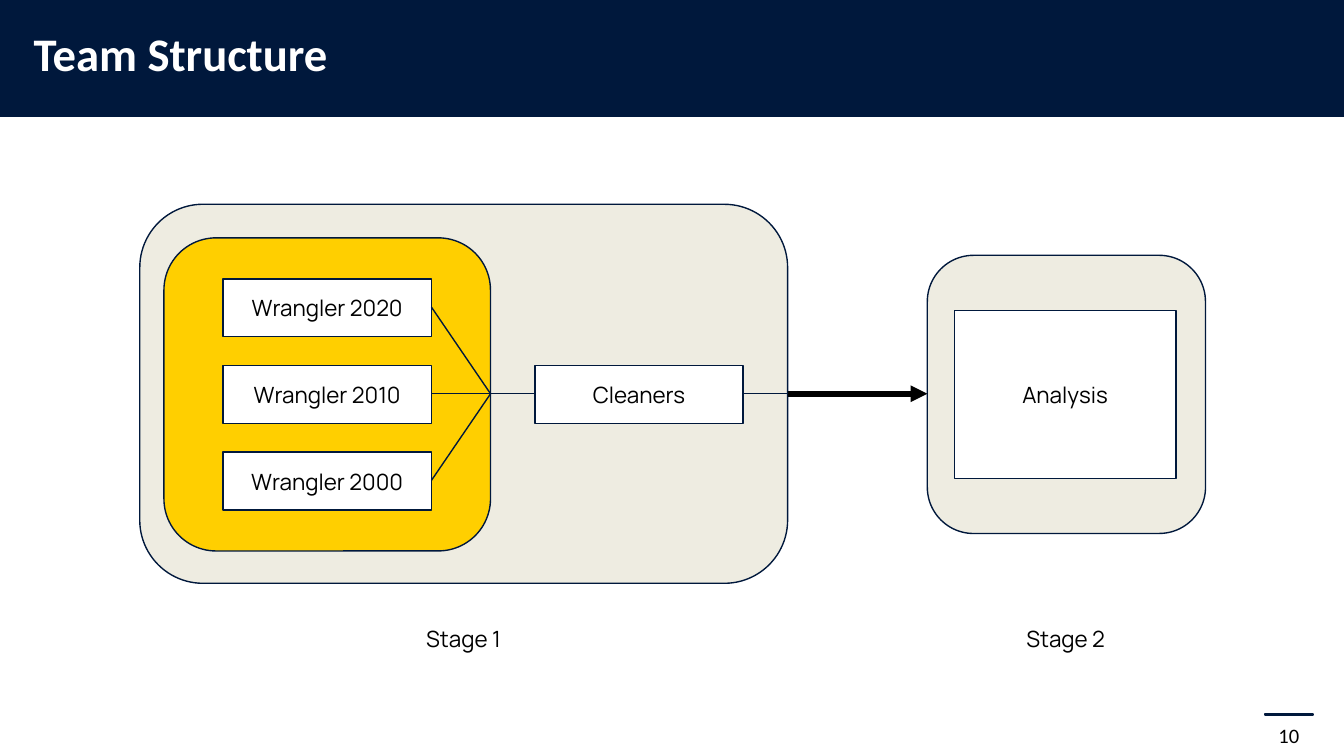
"""Build the Team Structure slide."""
from dataclasses import dataclass
from typing import Optional

from lxml import etree
from pptx import Presentation
from pptx import util as u
from pptx.dml.color import RGBColor
from pptx.enum import shapes, text
from pptx.oxml import ns

NAVY = RGBColor(0x00, 0x18, 0x3C)
GOLD = RGBColor(0xFF, 0xCF, 0x00)
SAND = RGBColor(0xEE, 0xEC, 0xE1)
WHITE = RGBColor(0xFF, 0xFF, 0xFF)
BLACK = RGBColor(0x00, 0x00, 0x00)

RECT = shapes.MSO_SHAPE.RECTANGLE
ROUND = shapes.MSO_SHAPE.ROUNDED_RECTANGLE
LEFT = text.PP_ALIGN.LEFT
MID = 2.93
TOP = 2.72
STEP = 1.29 / 2
ROWS = {-1: 2020, 0: 2010, 1: 2000}


@dataclass(frozen=True)
class Box:
    left: float
    top: float
    width: float
    height: float
    fill: RGBColor = WHITE
    line: Optional[RGBColor] = NAVY
    weight: float = 0.75
    kind: shapes.MSO_SHAPE = RECT
    words: str = ""


@dataclass(frozen=True)
class Label:
    words: str
    left: float
    top: float
    width: float
    height: float
    size: float = 12
    font: str = "Manrope"
    color: RGBColor = BLACK
    bold: bool = False
    align: text.PP_ALIGN = text.PP_ALIGN.CENTER
    inset: float = 0.1
    space: float = 1.0


@dataclass(frozen=True)
class Link:
    left: float
    start: float
    right: float
    end: float = MID
    color: RGBColor = NAVY
    weight: float = 0.75
    arrow: bool = False


def write(frame, label: Label) -> None:
    """Put one styled run into a text frame."""
    frame.word_wrap = True
    inset = u.Inches(label.inset)
    frame.margin_left = frame.margin_right = inset
    frame.margin_top = frame.margin_bottom = inset
    para = frame.paragraphs[0]
    para.alignment = label.align
    para.line_spacing = label.space
    run = para.add_run()
    run.text = label.words
    run.font.size = u.Pt(label.size)
    run.font.name = label.font
    run.font.bold = label.bold
    run.font.color.rgb = label.color


def add_box(slide, box: Box) -> None:
    """Draw a filled shape with optional centred words."""
    place = (box.left, box.top, box.width, box.height)
    shape = slide.shapes.add_shape(box.kind, *map(u.Inches, place))
    shape.shadow.inherit = False
    shape.fill.solid()
    shape.fill.fore_color.rgb = box.fill
    if box.line is None:
        shape.line.fill.background()
    else:
        shape.line.color.rgb = box.line
        shape.line.width = u.Pt(box.weight)
    if box.words:
        shape.text_frame.vertical_anchor = text.MSO_ANCHOR.MIDDLE
        write(shape.text_frame, Label(box.words, *place))


def add_label(slide, label: Label) -> None:
    """Draw a text box."""
    place = (label.left, label.top, label.width, label.height)
    shape = slide.shapes.add_textbox(*map(u.Inches, place))
    write(shape.text_frame, label)


def add_link(slide, link: Link) -> None:
    """Draw a straight line, with an arrowhead if asked."""
    ends = (link.left, link.start, link.right, link.end)
    line = slide.shapes.add_connector(
        shapes.MSO_CONNECTOR.STRAIGHT, *map(u.Inches, ends))
    line.line.color.rgb = link.color
    line.line.width = u.Pt(link.weight)
    if link.arrow:
        etree.SubElement(line.line._get_or_add_ln(), ns.qn("a:tailEnd"),
                         type="triangle")
    etree.SubElement(line._element.spPr, ns.qn("a:effectLst"))


def main() -> None:
    """Build and save the slide."""
    deck = Presentation()
    deck.slide_width = u.Inches(10)
    deck.slide_height = u.Inches(10 * 9 / 16)
    slide = deck.slides.add_slide(deck.slide_layouts[6])

    boxes = [
        Box(0, 0, 10, 0.87, NAVY, None),
        Box(9.41, 5.31, 0.36, 0.01, NAVY, weight=1),
        Box(6.9, 1.9, 2.07, 2.07, SAND, kind=ROUND),
        Box(1.04, 1.52, 4.82, 2.82, SAND, kind=ROUND),
        Box(1.22, 1.77, 2.43, 2.33, GOLD, kind=ROUND),
        *(Box(1.66, TOP + row * STEP, 1.55, 0.43, words=f"Wrangler {year}")
          for row, year in ROWS.items()),
        Box(3.98, TOP, 1.55, 0.43, words="Cleaners"),
        Box(7.1, 2.31, 1.65, 1.25, words="Analysis"),
    ]
    labels = [
        Label("Team Structure", 0.25, 0.23, 9.52, 0.38, 25, "Calibri", WHITE,
              True, LEFT, 0, 0.9),
        Label("Stage 1", 2.95, 4.55, 1, 0.4),
        Label("Stage 2", 7.43, 4.55, 1, 0.4),
        Label("10", 9.41, 5.38, 0.36, 0.24, 11, "Calibri", inset=0),
    ]
    links = [
        Link(5.86, MID, 6.9, color=BLACK, weight=3, arrow=True),
        *(Link(3.21, MID + row * STEP, 3.65) for row in ROWS),
        Link(3.65, MID, 3.98),
        Link(5.53, MID, 5.86),
    ]
    for box in boxes:
        add_box(slide, box)
    for label in labels:
        add_label(slide, label)
    for link in links:
        add_link(slide, link)
    deck.save("out.pptx")


if __name__ == "__main__":
    main()
